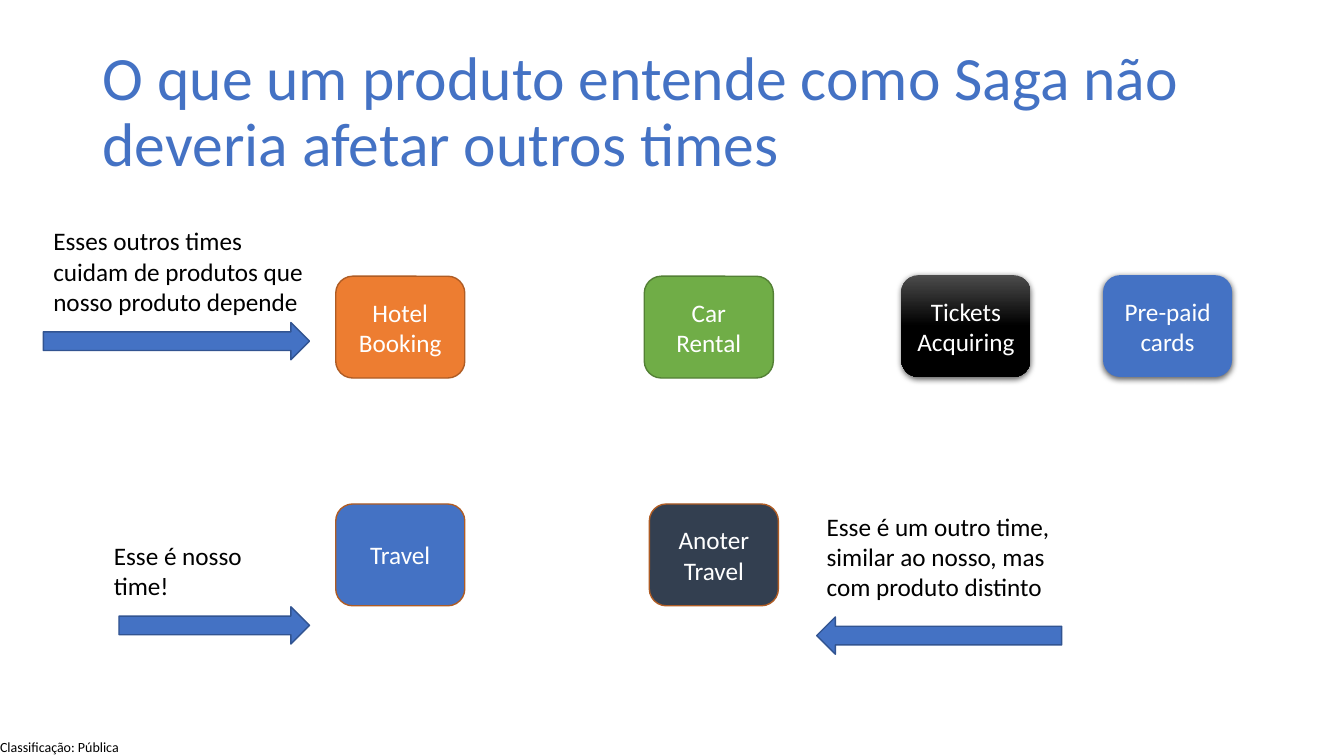
from lxml.etree import SubElement
from pptx import Presentation
from pptx.dml.color import RGBColor
from pptx.enum.shapes import MSO_SHAPE
from pptx.enum.text import MSO_ANCHOR, PP_ALIGN
from pptx.oxml.ns import qn
from pptx.util import Inches, Pt

FONT = "Calibri"
BLUE, BLUE_EDGE, RUST = "4472C4", "325491", "AF5C24"
BLACK, WHITE = "000000", "FFFFFF"
BOX_WIDTH, BOX_HEIGHT, ARROW_HEIGHT = 1.28, 1.01, 0.37

# Text, left, top, width, height, size, colour
TITLE = ("O que um produto entende como Saga não deveria afetar outros times",
         0.92, 0.4, 11.5, 1.45, 44, BLUE)
FOOTER = ("Classificação: Pública", 0, 7.33, 1.21, 0.17, 10, BLACK)
NOTES = [
    ("Esse é nosso time!", 1.03, 5.31, 1.65, 0.71, 18, BLACK),
    ("Esses outros times cuidam de produtos que nosso produto depende",
     0.43, 2.19, 2.81, 1.01, 18, BLACK),
    ("Esse é um outro time, similar ao nosso, mas com produto distinto",
     8.1, 5.02, 2.6, 1.01, 18, BLACK),
]
# Lines, left, top, fill (two colours make a gradient), edge (None gives a shadow)
PRODUCTS = [
    (["Hotel", "Booking"], 3.33, 2.74, ["ED7D31"], RUST),
    (["Car", "Rental"], 6.39, 2.74, ["70AD47"], "538035"),
    (["Tickets", "Acquiring"], 8.94, 2.73, ["4B4B4B", BLACK], None),
    (["Travel"], 3.33, 5, [BLUE], RUST),
    (["Pre-paid cards"], 10.94, 2.73, [BLUE], None),
    (["Anoter", "Travel"], 6.44, 5, ["333F50"], RUST),
]
# Left, top, width, rotation
ARROWS = [(1.18, 6.02, 1.89, 0), (0.43, 3.2, 2.64, 0), (8.1, 6.12, 2.43, 180)]


def color(hex_code):
    return RGBColor.from_string(hex_code)


def add_span(para, text, size, hex_code):
    span = para.add_run()
    span.text = text
    span.font.name = FONT
    span.font.size = Pt(size)
    span.font.color.rgb = color(hex_code)


def add_text(page, text, left, top, width, height, size, hex_code):
    box = page.shapes.add_textbox(Inches(left), Inches(top), Inches(width), Inches(height))
    frame = box.text_frame
    frame.word_wrap = True
    add_span(frame.paragraphs[0], text, size, hex_code)
    return frame


def add_figure(page, preset, left, top, width, height, fills, edge):
    """Add a preset shape with a solid or gradient fill and an optional edge."""
    figure = page.shapes.add_shape(preset, Inches(left), Inches(top),
                                   Inches(width), Inches(height))
    figure.shadow.inherit = False
    if len(fills) == 1:
        figure.fill.solid()
        figure.fill.fore_color.rgb = color(fills[0])
    else:
        figure.fill.gradient()
        figure.fill.gradient_angle = 270
        for stop, hex_code, position in zip(figure.fill.gradient_stops, fills, (0, 0.5)):
            stop.color.rgb = color(hex_code)
            stop.position = position
    if edge:
        figure.line.color.rgb = color(edge)
        figure.line.width = Pt(1)
    else:
        figure.line.fill.background()
    return figure


def add_shadow(figure):
    effects = figure.element.spPr.find(qn("a:effectLst"))
    shadow = SubElement(effects, qn("a:outerShdw"), blurRad=str(Pt(4.5)),
                        dist=str(Pt(1.5)), dir="5400000", algn="ctr", rotWithShape="0")
    tint = SubElement(shadow, qn("a:srgbClr"), val=BLACK)
    SubElement(tint, qn("a:alpha"), val="63000")


def add_product(page, lines, left, top, fills, edge):
    box = add_figure(page, MSO_SHAPE.ROUNDED_RECTANGLE, left, top,
                     BOX_WIDTH, BOX_HEIGHT, fills, edge)
    if not edge:
        add_shadow(box)
    frame = box.text_frame
    frame.word_wrap = True
    frame.vertical_anchor = MSO_ANCHOR.MIDDLE
    for index, line in enumerate(lines):
        para = frame.add_paragraph() if index else frame.paragraphs[0]
        para.alignment = PP_ALIGN.CENTER
        add_span(para, line, 18, WHITE)


def main():
    deck = Presentation()
    deck.slide_width, deck.slide_height = Inches(13.33), Inches(7.5)
    page = deck.slides.add_slide(deck.slide_layouts[6])

    footer = add_text(page, *FOOTER)
    footer.word_wrap = False
    footer.margin_left = footer.margin_right = footer.margin_top = footer.margin_bottom = 0

    title = add_text(page, *TITLE)
    title.vertical_anchor = MSO_ANCHOR.MIDDLE
    title.paragraphs[0].line_spacing = 0.9

    for product in PRODUCTS:
        add_product(page, *product)
    for note in NOTES:
        add_text(page, *note)
    for left, top, width, rotation in ARROWS:
        arrow = add_figure(page, MSO_SHAPE.RIGHT_ARROW, left, top, width,
                           ARROW_HEIGHT, [BLUE], BLUE_EDGE)
        arrow.rotation = rotation

    deck.save("out.pptx")


if __name__ == "__main__":
    main()
